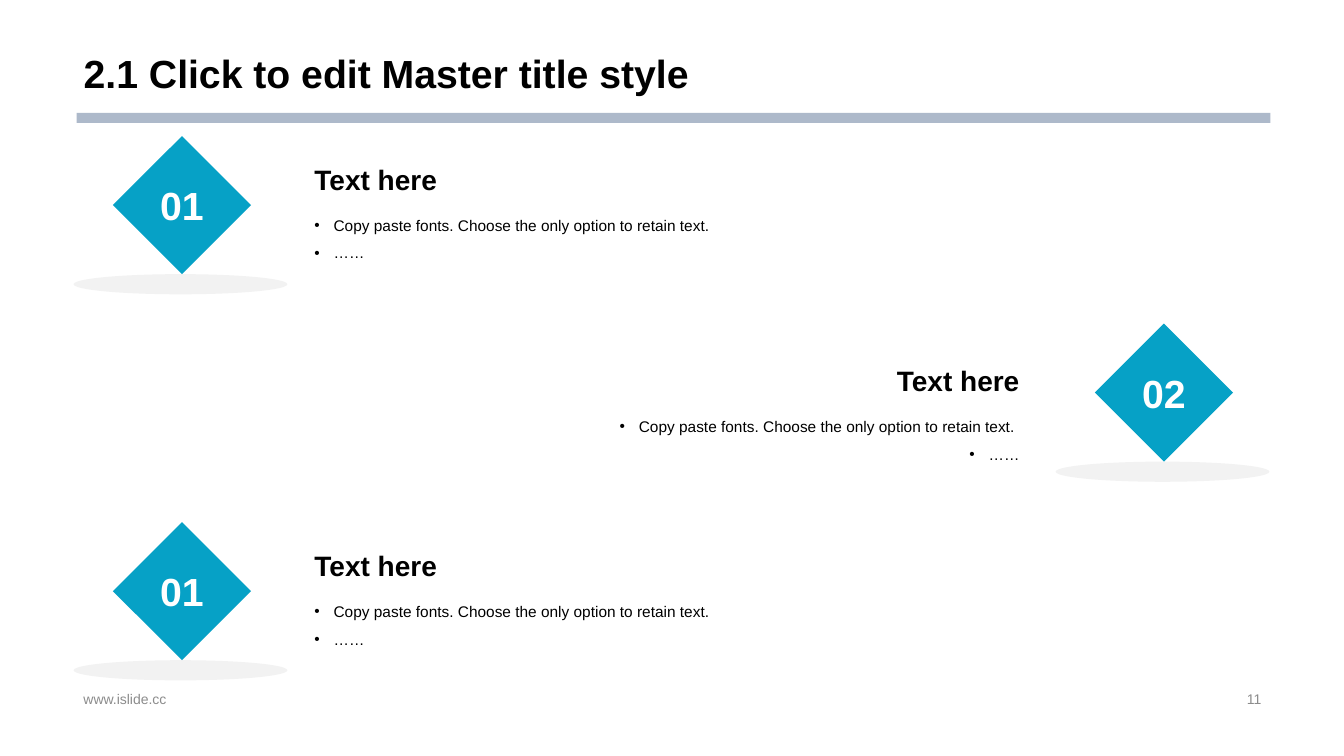
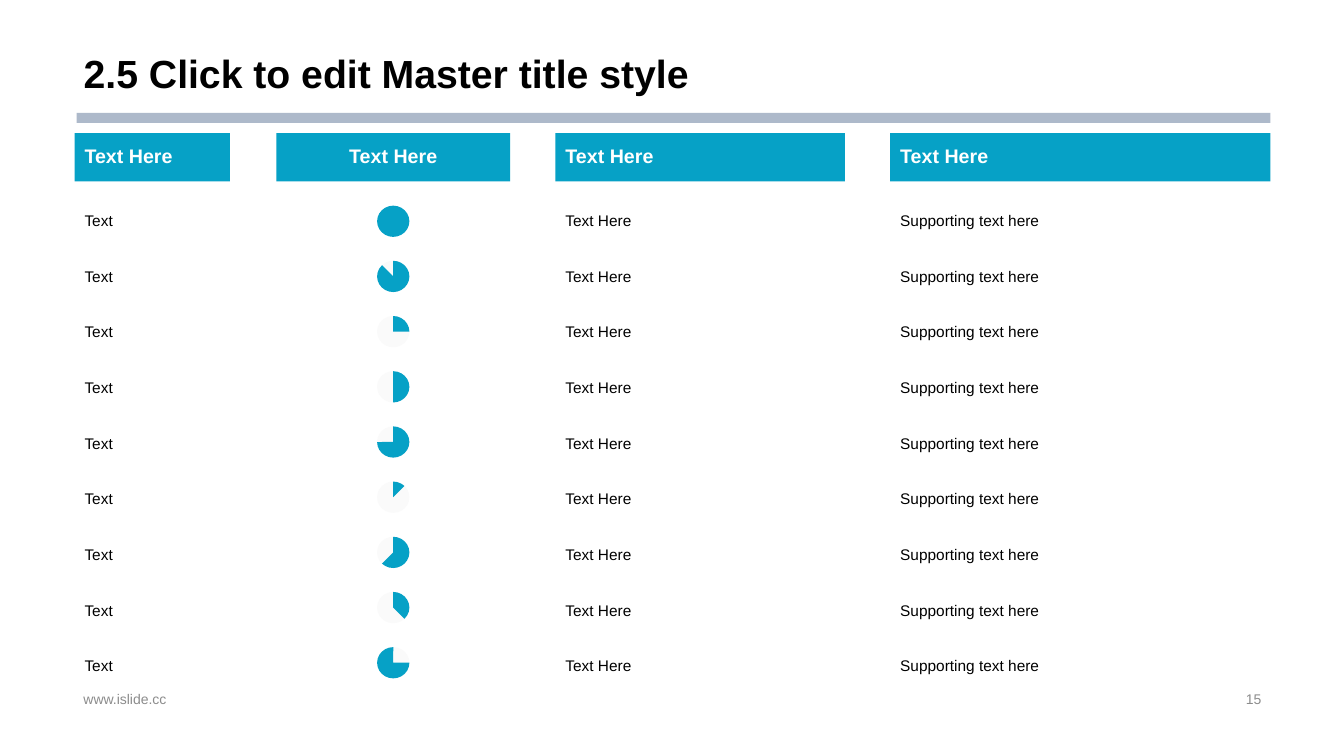
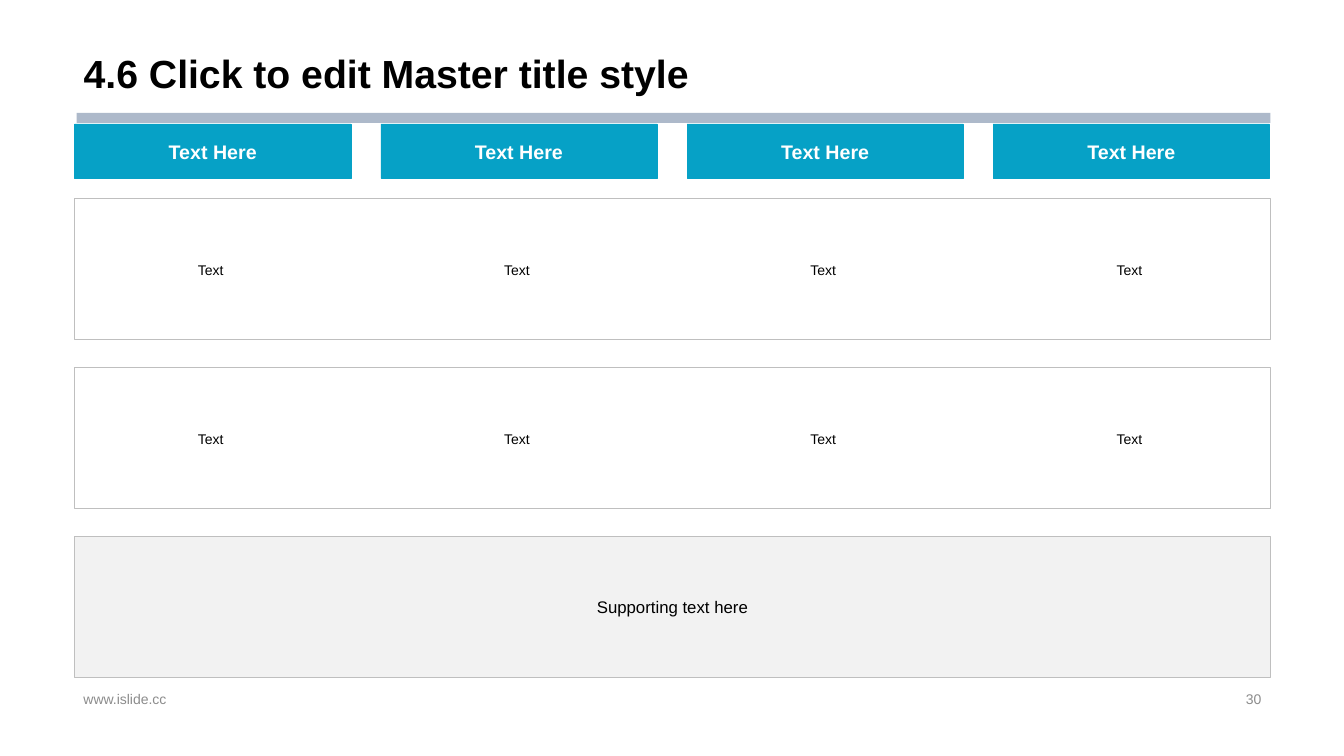
from lxml import etree
from pptx import Presentation
from pptx.dml.color import RGBColor
from pptx.enum.shapes import MSO_SHAPE as Preset
from pptx.enum.text import MSO_ANCHOR as Anchor, MSO_AUTO_SIZE as AutoSize, PP_ALIGN as Align
from pptx.oxml.ns import qn
from pptx.util import Inches, Pt

COLORS = {
    "accent": "06A1C6", "band": "ADB9CA", "black": "000000", "white": "FFFFFF",
    "footer": "8C8C8C", "pale": "F2F2F2", "track": "FAFAFA", "border": "BFBFBF",
}


def draw(slide, preset, left, top, width, height, fill=None, line=None):
    area = [Inches(length) for length in (left, top, width, height)]
    if preset is None:
        return slide.shapes.add_textbox(*area)
    shape = slide.shapes.add_shape(preset, *area)
    shape.shadow.inherit = False
    if fill:
        shape.fill.solid()
        shape.fill.fore_color.rgb = RGBColor.from_string(COLORS[fill])
    else:
        shape.fill.background()
    if line:
        shape.line.color.rgb = RGBColor.from_string(COLORS[line])
        shape.line.width = Pt(0.25)
    else:
        shape.line.fill.background()
    return shape


def write(shape, text, size=11, color="black", bold=False, align=Align.LEFT,
          anchor=Anchor.MIDDLE, spacing=1.0, bullet=False, inset=None):
    frame = shape.text_frame
    frame.word_wrap = True
    frame.auto_size = AutoSize.NONE
    frame.vertical_anchor = anchor
    if inset is not None:
        frame.margin_left = frame.margin_right = Inches(inset)
        frame.margin_top = frame.margin_bottom = Inches(inset)
    frame.text = text
    for paragraph in frame.paragraphs:
        paragraph.alignment = align
        paragraph.line_spacing = spacing
        if bullet:
            properties = paragraph._p.get_or_add_pPr()
            properties.set("marL", str(Inches(0.19)))
            properties.set("indent", str(-Inches(0.19)))
            etree.SubElement(properties, qn("a:buFont"), typeface="Arial")
            etree.SubElement(properties, qn("a:buChar"), char="•")
        for run in paragraph.runs:
            run.font.name = "Arial"
            run.font.size = Pt(size)
            run.font.bold = bold
            run.font.color.rgb = RGBColor.from_string(COLORS[color])


presentation = Presentation()
presentation.slide_width = Inches(13.33)
presentation.slide_height = Inches(7.5)
layout = presentation.slide_layouts[5]

slides = []
for section, page in (("2.1", "11"), ("2.5", "15"), ("4.6", "30")):
    slide = presentation.slides.add_slide(layout)
    title = slide.shapes.title
    title.left, title.top = Inches(0.73), Inches(0)
    title.width, title.height = Inches(10.28), Inches(1.01)
    write(title, f"{section} Click to edit Master title style", size=28, bold=True,
          anchor=Anchor.BOTTOM, spacing=0.9)
    write(draw(slide, None, 0.73, 6.82, 4.5, 0.23), "www.islide.cc", size=10, color="footer")
    write(draw(slide, None, 9.45, 6.82, 3.16, 0.23), page, size=10, color="footer",
          align=Align.RIGHT)
    slides.append(slide)
points_slide, ratings_slide, matrix_slide = slides

band = draw(points_slide, Preset.RECTANGLE, 0.76, 1.12, 11.84, 0.1, fill="band")
layout.shapes._spTree.append(band._element)

points = [
    ("01", 0.73, 1.35, 1.51, 7.45, Align.LEFT, ""),
    ("02", 10.47, 3.21, 3.51, 7.19, Align.RIGHT, " "),
    ("01", 0.73, 5.18, 5.34, 7.45, Align.LEFT, ""),
]
for number, left, top, text_top, text_width, align, ending in points:
    draw(points_slide, Preset.OVAL, left, top + 1.37, 2.12, 0.2, fill="pale")
    diamond = draw(points_slide, Preset.DIAMOND, left + 0.39, top, 1.37, 1.37, fill="accent")
    write(diamond, number, size=28, color="white", bold=True, align=Align.CENTER, inset=0)
    heading = draw(points_slide, None, 3.02, text_top, text_width, 0.48)
    write(heading, "Text here", size=20, bold=True, align=align, anchor=Anchor.BOTTOM)
    details = draw(points_slide, None, 3.02, text_top + 0.49, text_width, 0.89)
    write(details, f"Copy paste fonts. Choose the only option to retain text.{ending}\n……",
          align=align, anchor=Anchor.TOP, spacing=1.5, bullet=True)

columns = [
    (0.74, 1.54, Align.LEFT, "Text"),
    (2.74, 2.32, Align.CENTER, None),
    (5.51, 2.87, Align.LEFT, "Text Here"),
    (8.83, 3.77, Align.LEFT, "Supporting text here"),
]
pies = [(162, 8), (162, 7), (162, 2), (162, 4), (162, 6), (162, 1), (162, 5), (162, 3), (0, 6)]
for left, width, align, text in columns:
    header = draw(ratings_slide, Preset.RECTANGLE, left, 1.32, width, 0.48, fill="accent")
    write(header, "Text Here", size=14, color="white", bold=True, align=align, spacing=0.9)
    for row, (start, eighths) in enumerate(pies):
        if text:
            write(draw(ratings_slide, None, left, 2.03 + row * 0.5525, width, 0.31), text)
            continue
        area = (3.74, 2.04 + row * 0.5475, 0.32, 0.31)
        if eighths < 8:
            draw(ratings_slide, Preset.OVAL, *area, fill="track")
        pie = draw(ratings_slide, Preset.PIE, *area, fill="accent")
        pie.adjustments[0] = start
        pie.adjustments[1] = (start + eighths * 27) % 216

row_tops = [1.97 + row * 1.675 for row in range(3)]
for top in row_tops[:2]:
    draw(matrix_slide, Preset.RECTANGLE, 0.74, top, 11.86, 1.4, line="border")
summary = draw(matrix_slide, Preset.RECTANGLE, 0.74, row_tops[2], 11.86, 1.4,
               fill="pale", line="border")
write(summary, "Supporting text here", size=12, align=Align.CENTER)
for column in range(4):
    left = 0.74 + column * 3.037
    header = draw(matrix_slide, Preset.RECTANGLE, left, 1.23, 2.74, 0.54,
                  fill="accent", line="accent")
    write(header, "Text Here", size=14, color="white", bold=True, align=Align.CENTER)
    for top in row_tops[:2]:
        write(draw(matrix_slide, None, left, top + 0.12, 2.74, 1.18), "Text ", size=10,
              align=Align.CENTER)

presentation.save("out.pptx")
